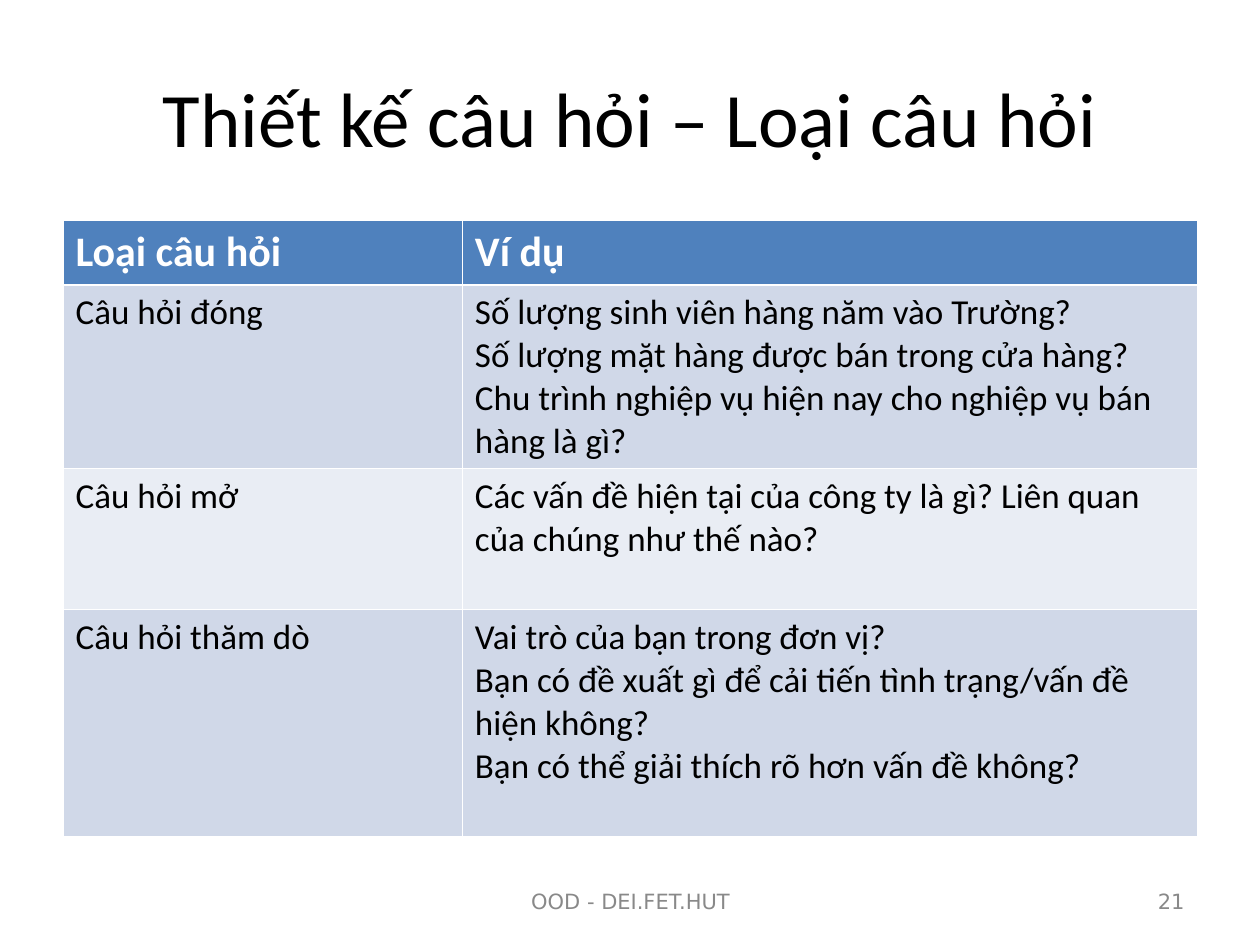
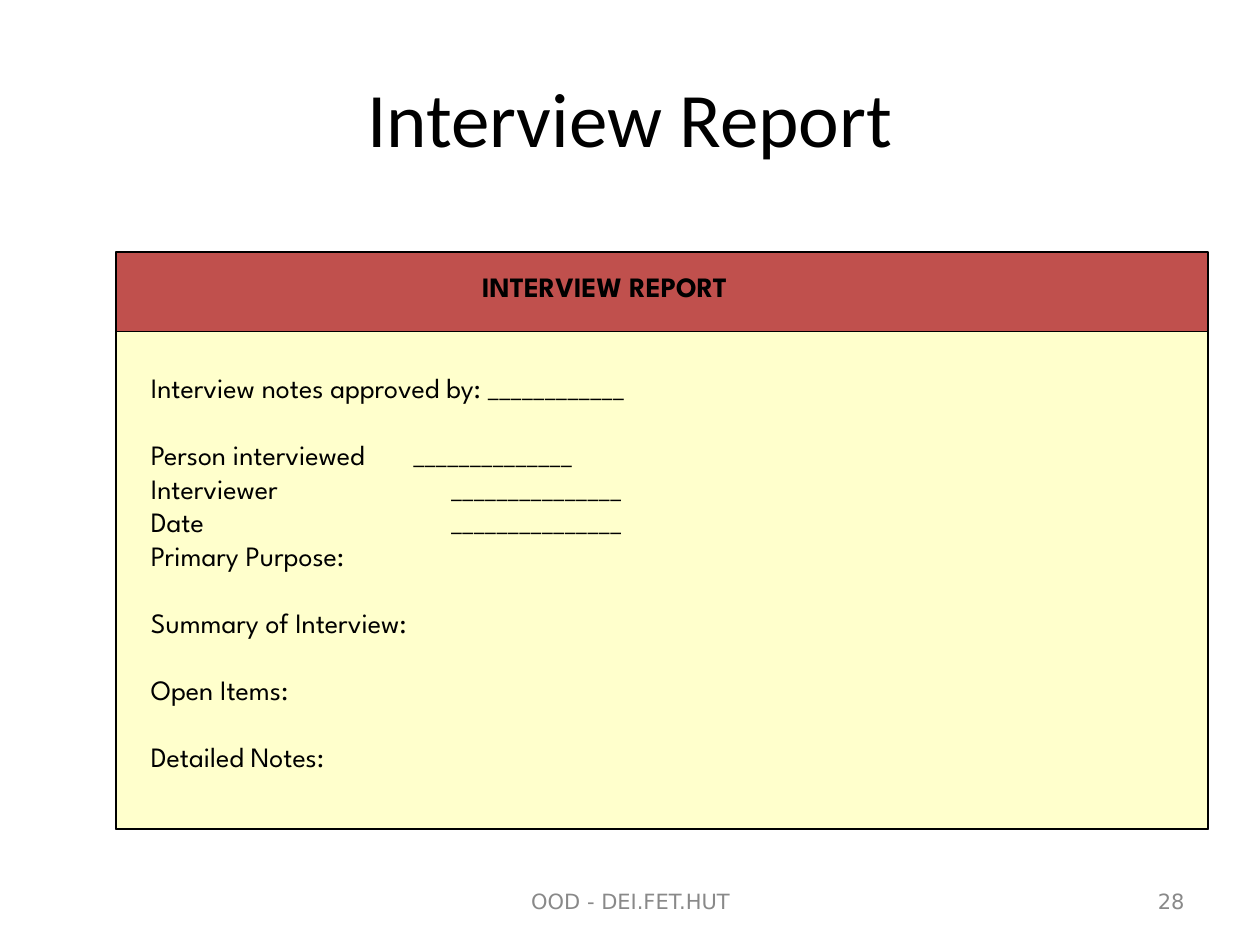
from lxml.etree import SubElement
from pptx import Presentation
from pptx.dml.color import RGBColor
from pptx.enum.shapes import MSO_SHAPE
from pptx.enum.text import MSO_ANCHOR, PP_ALIGN
from pptx.oxml.ns import qn
from pptx.util import Inches, Pt

COLORS = {
    "text": "000000", "muted": "898989", "white": "FFFFFF",
    "header": "4F81BD", "band": "D0D8E8", "band_light": "E9EDF4",
    "report_header": "C0504D", "report_body": "FFFFCC",
}
LINE = 19.2

QUESTION_TYPES = [
    ("Loại câu hỏi", ["Ví dụ"]),
    ("Câu hỏi đóng", [
        "Số lượng sinh viên hàng năm vào Trường?",
        "Số lượng mặt hàng được bán trong cửa hàng?",
        "Chu trình nghiệp vụ hiện nay cho nghiệp vụ bán hàng là gì?"]),
    ("Câu hỏi mở", [
        "Các vấn đề hiện tại của công ty là gì? Liên quan của chúng như thế nào?"]),
    ("Câu hỏi thăm dò", [
        "Vai trò của bạn trong đơn vị?",
        "Bạn có đề xuất gì để cải tiến tình trạng/vấn đề hiện không?",
        "Bạn có thể giải thích rõ hơn vấn đề không?"]),
]

REPORT_FIELDS = [
    ("Interview notes approved by: ____________", 2, None),
    ("Person interviewed\t______________", 1, 2.08),
    ("Interviewer\t_______________", 0, 2.38),
    ("Date\t_______________", 0, 2.38),
    ("Primary Purpose:", 0, None),
    ("Summary of Interview:", 1, None),
    ("Open Items:", 1, None),
    ("Detailed Notes:", 1, None),
]


def rgb(name):
    return RGBColor.from_string(COLORS[name])


class Deck:
    """Builds slides in one shared style."""

    def __init__(self):
        self.prs = Presentation()
        self.prs.slide_width, self.prs.slide_height = Inches(10), Inches(7.5)
        self.s = None

    def slide(self, title, number):
        self.s = self.prs.slides.add_slide(self.prs.slide_layouts[5])
        sp = self.s.shapes.title
        sp.left, sp.top, sp.width, sp.height = map(Inches, (0.5, 0.3, 9, 1.25))
        sp.text_frame.vertical_anchor = MSO_ANCHOR.MIDDLE
        self.paragraph(sp.text_frame.paragraphs[0], title, 44, align=PP_ALIGN.CENTER)
        self.footer("OOD - DEI.FET.HUT", 3.42, 3.17, PP_ALIGN.CENTER)
        self.footer(str(number), 7.17, 2.33, PP_ALIGN.RIGHT)

    def paragraph(self, p, text, size, font="Calibri", color="text", bold=False,
                  align=PP_ALIGN.LEFT, tab=None):
        p.add_run().text = text
        p.alignment = align
        if tab:
            tabs = SubElement(p._p.get_or_add_pPr(), qn("a:tabLst"))
            SubElement(tabs, qn("a:tab"), pos=str(Inches(tab)), algn="l")
        p.font.size, p.font.name, p.font.bold = Pt(size), font, bold
        p.font.color.rgb = rgb(color)

    def textbox(self, left, top, width, height):
        box = self.s.shapes.add_textbox(*map(Inches, (left, top, width, height)))
        box.text_frame.word_wrap = True
        return box.text_frame

    def footer(self, text, left, width, align):
        tf = self.textbox(left, 6.95, width, 0.4)
        tf.vertical_anchor = MSO_ANCHOR.MIDDLE
        self.paragraph(tf.paragraphs[0], text, 12, "DejaVu Sans", "muted", align=align)

    def panel(self, left, top, width, height, fill):
        sp = self.s.shapes.add_shape(
            MSO_SHAPE.RECTANGLE, *map(Inches, (left, top, width, height)))
        sp.shadow.inherit = False
        sp.fill.solid()
        sp.fill.fore_color.rgb = rgb(fill)
        sp.line.color.rgb = rgb("text")
        sp.line.width = Pt(1)

    def cell(self, cell, lines, row):
        header = row == 0
        widths = {"lnL": 0.45, "lnR": 0.45,
                  "lnT": 1.47 if row == 1 else 0.45,
                  "lnB": 1.47 if header else 0.45}
        tc_pr = cell._tc.get_or_add_tcPr()
        for side, width in widths.items():
            ln = SubElement(tc_pr, qn(f"a:{side}"), w=str(Pt(width)))
            SubElement(SubElement(ln, qn("a:solidFill")), qn("a:srgbClr"),
                       val=COLORS["white"])
        cell.fill.solid()
        cell.fill.fore_color.rgb = rgb(
            "header" if header else "band" if row % 2 else "band_light")
        tf = cell.text_frame
        for i, line in enumerate(lines):
            p = tf.add_paragraph() if i else tf.paragraphs[0]
            self.paragraph(p, line, 24 if header else 20,
                           color="white" if header else "text", bold=header)

    def table(self, rows, left, top, widths, heights):
        table = self.s.shapes.add_table(
            len(heights), len(widths), Inches(left), Inches(top),
            Inches(sum(widths)), Inches(sum(heights))).table
        for column, width in zip(table.columns, widths):
            column.width = Inches(width)
        for i, (name, examples) in enumerate(rows):
            table.rows[i].height = Inches(heights[i])
            self.cell(table.cell(i, 0), [name], i)
            self.cell(table.cell(i, 1), examples, i)

    def form(self, heading, fields, left, top, width, height):
        tf = self.textbox(left, top, width, height)
        self.paragraph(tf.paragraphs[0], heading, 16, "League Spartan", bold=True,
                       align=PP_ALIGN.CENTER)
        for text, blank_lines, tab in fields:
            p = tf.add_paragraph()
            p.space_before = Pt(blank_lines * LINE)
            self.paragraph(p, text, 16, "League Spartan", tab=tab)


def main():
    deck = Deck()

    deck.slide("Thiết kế câu hỏi – Loại câu hỏi", 21)
    deck.table(QUESTION_TYPES, 0.5, 1.75, [3.17, 5.83], [0.51, 1.46, 1.12, 1.8])

    deck.slide("Interview Report", 28)
    deck.panel(0.92, 2, 8.67, 4.58, "report_header")
    deck.panel(0.92, 2.63, 8.67, 3.95, "report_body")
    deck.form("INTERVIEW REPORT", REPORT_FIELDS, 1.1, 2.09, 7.4, 4.1)

    deck.prs.save("out.pptx")


if __name__ == "__main__":
    main()
